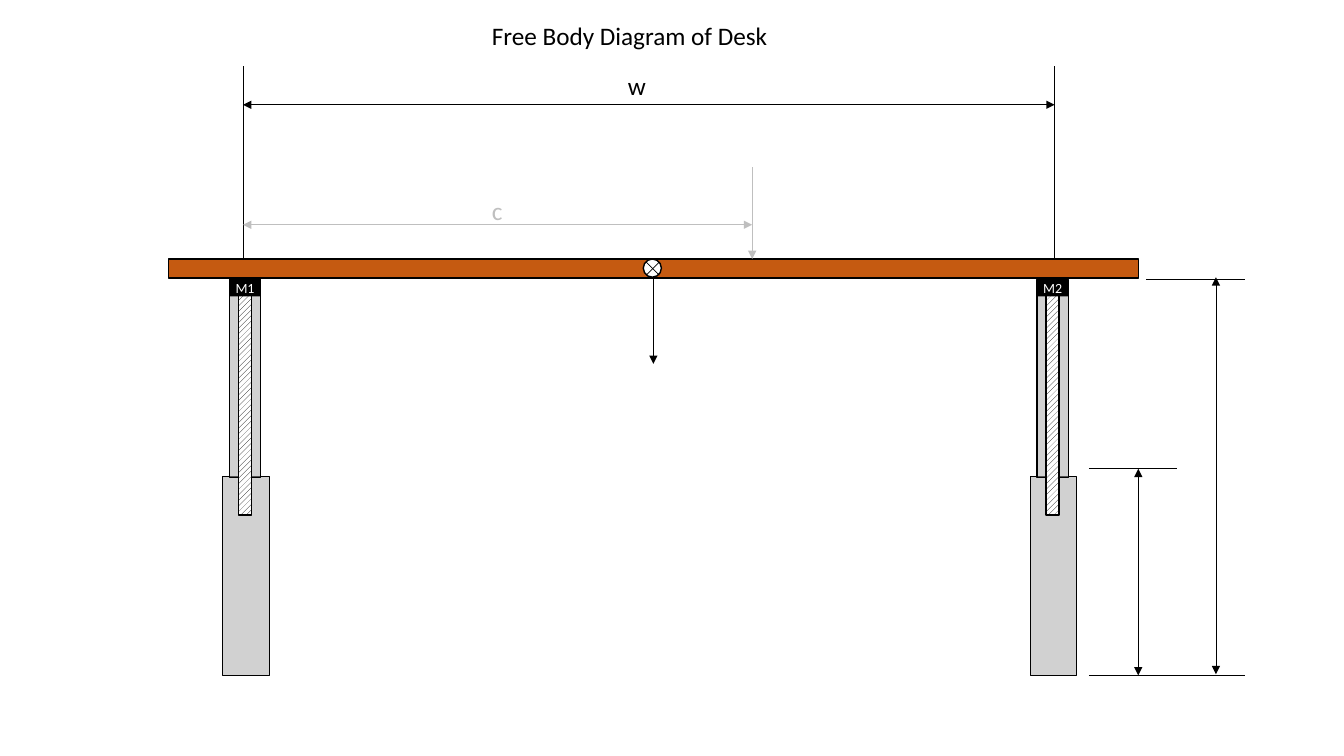
from lxml import etree
from pptx import Presentation
from pptx.dml.color import RGBColor
from pptx.enum.dml import MSO_PATTERN
from pptx.enum.shapes import MSO_CONNECTOR, MSO_SHAPE
from pptx.enum.text import MSO_ANCHOR, PP_ALIGN
from pptx.oxml.ns import qn
from pptx.util import Inches, Pt

RECTANGLE, OVAL = MSO_SHAPE.RECTANGLE, MSO_SHAPE.OVAL
STRAIGHT = MSO_CONNECTOR.STRAIGHT
HATCH = MSO_PATTERN.WIDE_UPWARD_DIAGONAL
LEFT, CENTER = PP_ALIGN.LEFT, PP_ALIGN.CENTER
MIDDLE = MSO_ANCHOR.MIDDLE
BLACK, WHITE, GRAY, PALE, WOOD = "000000", "FFFFFF", "A5A5A5", "BFBFBF", "C55A11"
color = RGBColor.from_string


def draw_shape(shapes, kind, left, top, width, height, fill, line_width):
    shape = shapes.add_shape(kind, Inches(left), Inches(top), Inches(width), Inches(height))
    shape.shadow.inherit = False
    shape.fill.solid()
    shape.fill.fore_color.rgb = color(fill)
    if line_width:
        shape.line.color.rgb = color(BLACK)
        shape.line.width = Pt(line_width)
    else:
        shape.line.fill.background()
    return shape


def write(box, text, size=18, ink=BLACK, align=LEFT):
    para = box.text_frame.paragraphs[0]
    para.alignment = align
    span = para.add_run()
    span.text = text
    span.font.name = "Calibri"
    span.font.size = Pt(size)
    span.font.color.rgb = color(ink)


deck = Presentation()
deck.slide_width, deck.slide_height = Inches(13.33), Inches(7.5)
page = deck.slides.add_slide(deck.slide_layouts[6])

draw_shape(page.shapes, RECTANGLE, 1.67, 2.57, 9.62, 0.19, WOOD, 1)

for motor_name, left in (("M1", 2.21), ("M2", 10.22)):
    leg = page.shapes.add_group_shape().shapes
    column_left = left + 0.065
    base = draw_shape(leg, RECTANGLE, left, 4.73, 0.46, 1.97, GRAY, 0.75)
    column = draw_shape(leg, RECTANGLE, column_left, 2.77, 0.31, 1.97, GRAY, 0.75)
    for tube in (base, column):
        tint = tube.fill._xPr.find(qn("a:solidFill"))[0]
        etree.SubElement(tint, qn("a:alpha"), val="50000")

    screw = draw_shape(leg, RECTANGLE, left + 0.155, 2.93, 0.13, 2.18, WHITE, 1)
    screw.fill.patterned()
    screw.fill.pattern = HATCH
    screw.fill.fore_color.rgb = color(BLACK)
    screw.fill.back_color.rgb = color(WHITE)

    motor = draw_shape(leg, RECTANGLE, column_left, 2.77, 0.31, 0.17, BLACK, 0)
    frame = motor.text_frame
    frame.margin_left = frame.margin_right = frame.margin_top = frame.margin_bottom = 0
    frame.vertical_anchor = MIDDLE
    write(motor, motor_name, size=10, ink=WHITE, align=CENTER)

draw_shape(page.shapes, OVAL, 6.38, 2.57, 0.18, 0.18, WHITE, 1)

both, end = ("headEnd", "tailEnd"), ("tailEnd",)
mass_cross = [
    (6.41, 2.6, 6.54, 2.73, BLACK, ()),
    (6.54, 2.6, 6.41, 2.73, BLACK, ()),
]
forces = [
    (6.48, 2.77, 6.48, 3.61, BLACK, end),
    (7.46, 1.66, 7.46, 2.57, PALE, end),
]
extension_lines = [
    (2.41, 2.57, 2.41, 0.65, BLACK, ()),
    (10.46, 2.57, 10.46, 0.65, BLACK, ()),
    (11.37, 2.77, 12.35, 2.77, BLACK, ()),
    (10.8, 6.7, 12.35, 6.7, BLACK, ()),
    (10.8, 4.65, 11.67, 4.65, BLACK, ()),
]
dimensions = [
    (2.41, 2.23, 7.46, 2.23, PALE, both),
    (2.41, 1.04, 10.46, 1.04, BLACK, both),
    (12.06, 2.75, 12.06, 6.69, BLACK, both),
    (11.29, 4.65, 11.29, 6.7, BLACK, both),
]
for x1, y1, x2, y2, ink, arrows in mass_cross + forces + extension_lines + dimensions:
    line = page.shapes.add_connector(STRAIGHT, Inches(x1), Inches(y1), Inches(x2), Inches(y2))
    line.line.color.rgb = color(ink)
    line.line.width = Pt(0.5)
    for arrow in arrows:
        etree.SubElement(line.line._get_or_add_ln(), qn(f"a:{arrow}"), type="triangle")
    etree.SubElement(line._element.spPr, qn("a:effectLst"))

for text, left, top, width, ink in (
    ("c", 4.78, 1.89, 0.34, PALE),
    ("w", 6.13, 0.65, 0.34, BLACK),
    ("Free Body Diagram of Desk", 4.78, 0.15, 4.2, BLACK),
):
    box = page.shapes.add_textbox(Inches(left), Inches(top), Inches(width), Inches(0.4))
    box.text_frame.word_wrap = True
    write(box, text, ink=ink)

deck.save("out.pptx")
